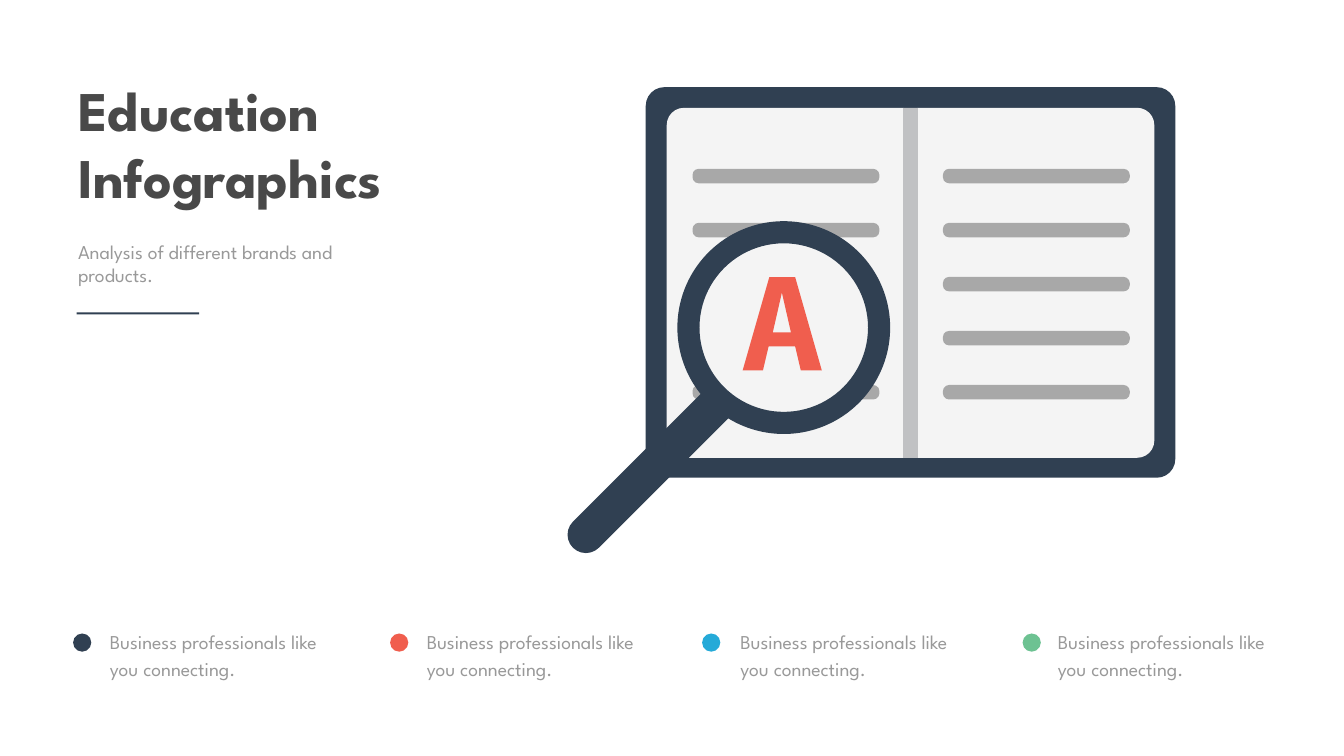
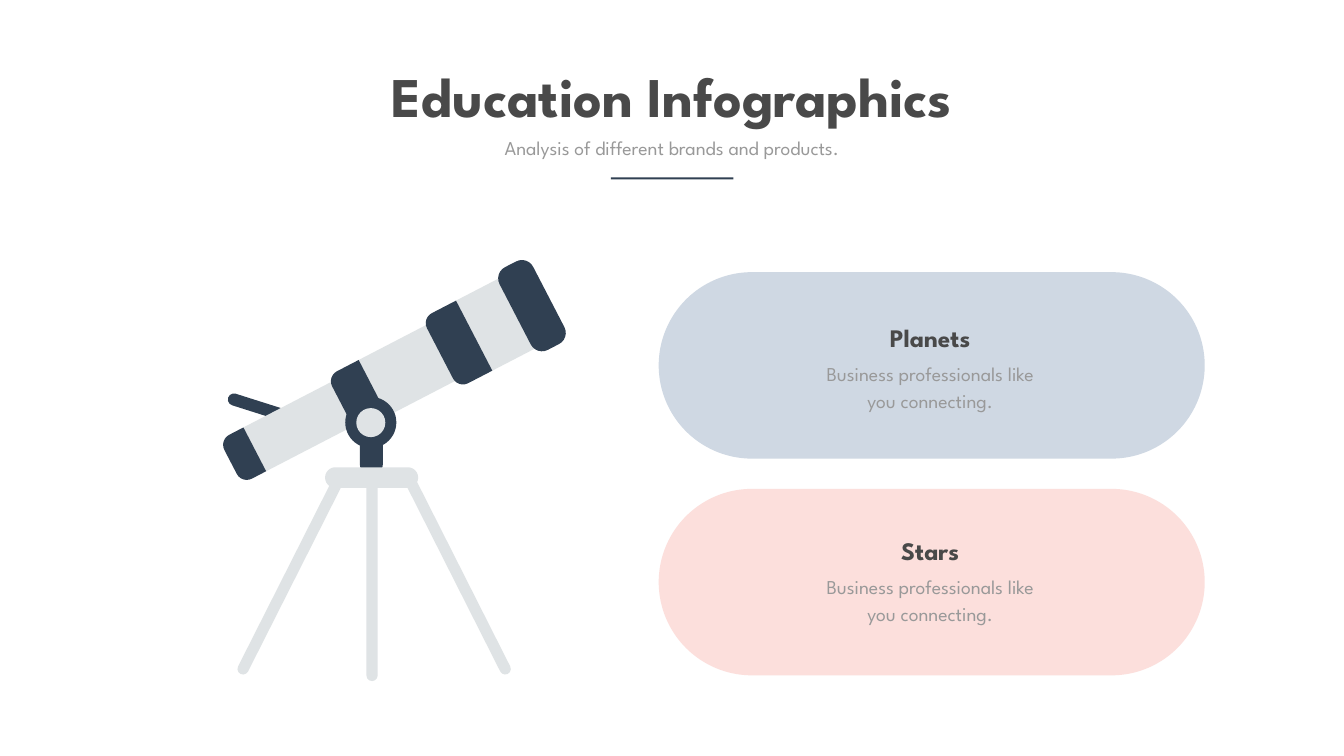
import math

import pptx
import pptx.dml.color
import pptx.enum.shapes
import pptx.enum.text
import pptx.util

Pt = pptx.util.Pt
RGBColor = pptx.dml.color.RGBColor
MSO_SHAPE = pptx.enum.shapes.MSO_SHAPE
MSO_AUTO_SIZE = pptx.enum.text.MSO_AUTO_SIZE
PP_ALIGN = pptx.enum.text.PP_ALIGN

FONT = "League Spartan"
NAVY = RGBColor(0x30, 0x40, 0x52)
CORAL = RGBColor(0xF0, 0x5E, 0x4E)
BLUE = RGBColor(0x25, 0xAA, 0xD8)
GREEN = RGBColor(0x6D, 0xC2, 0x92)
TITLE_GREY = RGBColor(0x49, 0x49, 0x49)
TEXT_GREY = RGBColor(0x99, 0x99, 0x99)
PAPER = RGBColor(0xF4, 0xF4, 0xF4)
LINE_GREY = RGBColor(0xA8, 0xA8, 0xA8)
SPINE_GREY = RGBColor(0xC0, 0xC1, 0xC3)
METAL = RGBColor(0xDF, 0xE3, 0xE5)
PALE_BLUE = RGBColor(0xCF, 0xD8, 0xE3)
PALE_CORAL = RGBColor(0xFC, 0xDF, 0xDC)

SUBTITLE = "Analysis of different brands and products."
BODY = "Business professionals like you connecting."


def paint(sp, color):
    """Give a shape a flat fill with no line or shadow."""
    sp.shadow.inherit = False
    sp.fill.solid()
    sp.fill.fore_color.rgb = color
    sp.line.fill.background()


def add_block(slide, preset, x, y, w, h, color, adjustments=(), rotation=0):
    """Add a flat preset shape by its left top corner."""
    sp = slide.shapes.add_shape(preset, Pt(x), Pt(y), Pt(w), Pt(h))
    for i, value in enumerate(adjustments):
        sp.adjustments[i] = value
    sp.rotation = rotation
    paint(sp, color)
    return sp


def add_circle(slide, x, y, diameter, color):
    """Add a flat circle."""
    return add_block(slide, MSO_SHAPE.OVAL, x, y, diameter, diameter, color)


def add_rounded(slide, x, y, w, h, color, radius=None, rotation=0):
    """Add a rounded rectangle, with full round ends when no radius is given."""
    ratio = 0.5 if radius is None else radius / min(w, h)
    return add_block(slide, MSO_SHAPE.ROUNDED_RECTANGLE, x, y, w, h, color, [ratio], rotation)


def add_rod(slide, cx, cy, length, thickness, color, rotation):
    """Add a round-ended rod about its centre, level at zero rotation."""
    add_rounded(slide, cx - length / 2, cy - thickness / 2, length, thickness, color,
                rotation=rotation)


def add_end_rounded(slide, cx, cy, length, width, color, radius, rotation):
    """Add a block rounded at one end, the left one at zero rotation."""
    add_block(slide, MSO_SHAPE.ROUND_2_SAME_RECTANGLE, cx - width / 2, cy - length / 2,
              width, length, color, [radius / min(width, length), 0], rotation - 90)


def add_text(slide, x, y, w, h, lines, size, color, bold=False, align=PP_ALIGN.LEFT,
             spacing=None, wrap=True):
    """Add a text box with one paragraph for each line."""
    tf = slide.shapes.add_textbox(Pt(x), Pt(y), Pt(w), Pt(h)).text_frame
    tf.word_wrap = wrap
    tf.auto_size = MSO_AUTO_SIZE.SHAPE_TO_FIT_TEXT
    for i, line in enumerate(lines):
        p = tf.add_paragraph() if i else tf.paragraphs[0]
        p.alignment = align
        if spacing:
            p.line_spacing = Pt(spacing)
        r = p.add_run()
        r.text = line
        r.font.name = FONT
        r.font.size = Pt(size)
        r.font.bold = bold
        r.font.color.rgb = color


def add_title(slide, x, y, w, h, lines, align=PP_ALIGN.LEFT, wrap=True):
    """Add the slide title."""
    add_text(slide, x, y, w, h, lines, 80, TITLE_GREY, True, align, wrap=wrap)


def add_subtitle(slide, x, y, w, h, align=PP_ALIGN.LEFT):
    """Add the shared subtitle."""
    add_text(slide, x, y, w, h, [SUBTITLE], 28, TEXT_GREY, align=align)


def add_rule(slide, x, y):
    """Add the short rule below the subtitle."""
    add_block(slide, MSO_SHAPE.RECTANGLE, x, y, 175, 2.9, NAVY)


def add_body(slide, x, y, align=PP_ALIGN.LEFT):
    """Add the shared two-line body text."""
    add_text(slide, x, y, 352, 85, [BODY], 28, TEXT_GREY, align=align, spacing=38.6)


def add_book(slide):
    """Draw the open book with its text lines."""
    add_rounded(slide, 922.5, 124.5, 756.5, 558, NAVY, 26.6)
    add_end_rounded(slide, 1121.5, 404, 338, 500, PAPER, 24.5, 0)
    add_end_rounded(slide, 1480, 404, 338, 500, PAPER, 24.5, 180)
    add_block(slide, MSO_SHAPE.RECTANGLE, 1290.2, 154, 21, 500, SPINE_GREY)
    for x, pale_rows in ((1347, ()), (989.3, (2, 3))):
        for row in range(5):
            color = SPINE_GREY if row in pale_rows else LINE_GREY
            add_rounded(slide, x, 241.2 + row * 77.2, 267, 20.7, color, 8.8)


def add_magnifier(slide):
    """Draw the magnifier over the book with the letter in its lens."""
    add_circle(slide, 983.5, 325, 274, PAPER)
    add_rod(slide, 929.5, 671.4, 314, 52.5, NAVY, -45)
    add_block(slide, MSO_SHAPE.DONUT, 967.7, 316, 304, 304, NAVY, [0.104])
    outline = [(1090, 529), (1061, 529), (1099, 396), (1136, 396),
               (1174, 529), (1144, 529), (1136, 495)]
    letter = slide.shapes.build_freeform(1098, 495, scale=Pt(1))
    letter.add_line_segments(outline, close=True)
    letter.move_to(1130, 475)
    letter.add_line_segments([(1117, 418), (1104, 475)], close=True)
    paint(letter.convert_to_shape(), CORAL)


def add_telescope(slide):
    """Draw the telescope barrel along its axis, then the mount and tripod."""
    tilt = -27.4
    cos, sin = math.cos(math.radians(tilt)), math.sin(math.radians(tilt))
    add_rod(slide, 371.2, 582.5, 95, 17.3, NAVY, 17.6)
    sections = [
        (0, 160, 70.5, METAL, 0),
        (-39, 0, 70.5, NAVY, 16),
        (190.5, 324, 90, METAL, 0),
        (139.5, 190.5, 90, NAVY, 16),
        (353, 443, 112.7, METAL, 0),
        (298, 353, 112.7, NAVY, 16),
    ]
    for start, end, width, color, radius in sections:
        middle = (start + end) / 2
        add_end_rounded(slide, 364 + middle * cos, 641.9 + middle * sin,
                        end - start, width, color, radius, tilt)
    add_rounded(slide, 364 + 446 * cos - 27, 641.9 + 446 * sin - 66.5, 54, 133, NAVY, 18, tilt)
    add_rounded(slide, 514, 583, 33, 96, NAVY)
    add_circle(slide, 493.2, 567, 73, NAVY)
    add_circle(slide, 509, 583, 41.5, METAL)
    add_rounded(slide, 464.4, 667.5, 133, 29.5, METAL)
    for cx, cy, length, rotation in ((416, 819.5, 321, -63.2), (653, 819.5, 321, 63.2),
                                     (531.5, 823.5, 299, 90)):
        add_rod(slide, cx, cy, length, 16, METAL, rotation)


def add_pill(slide, y, color, heading, heading_y):
    """Add a pill with a heading and body text."""
    add_rounded(slide, 941, y, 780, 266.4, color)
    add_body(slide, 1152.7, heading_y + 51.1, PP_ALIGN.CENTER)
    add_text(slide, 1152.7, heading_y, 352, 51, [heading], 36, TITLE_GREY, True,
             PP_ALIGN.CENTER)


def build_book_slide(slide):
    """Fill the slide with the book and the four notes."""
    notes = [(104.4, 149.8, NAVY), (557.3, 602.6, CORAL),
             (1003, 1050.5, BLUE), (1460.9, 1504.1, GREEN)]
    for dot_x, text_x, color in notes:
        add_circle(slide, dot_x, 905, 26, color)
        add_body(slide, text_x, 891.7)
    add_title(slide, 104.4, 103.7, 519.8, 200.9, ["Education", "Infographics"])
    add_subtitle(slide, 104.4, 339.1, 384.5, 75)
    add_rule(slide, 109.4, 446.4)
    add_book(slide)
    add_magnifier(slide)


def build_telescope_slide(slide):
    """Fill the slide with the telescope and the two pills."""
    add_title(slide, 501.8, 84.2, 916.6, 104.4, ["Education Infographics"],
              PP_ALIGN.CENTER, wrap=False)
    add_subtitle(slide, 615.6, 190.8, 688.3, 41, PP_ALIGN.CENTER)
    add_rule(slide, 872.6, 253.4)
    add_telescope(slide)
    add_pill(slide, 388.8, PALE_BLUE, "Planets", 457.2)
    add_pill(slide, 698.4, PALE_CORAL, "Stars", 761.8)


def main():
    """Build both slides and save the file."""
    prs = pptx.Presentation()
    prs.slide_width, prs.slide_height = Pt(1920), Pt(1080)
    for build in (build_book_slide, build_telescope_slide):
        build(prs.slides.add_slide(prs.slide_layouts[6]))
    prs.save("out.pptx")


if __name__ == "__main__":
    main()
